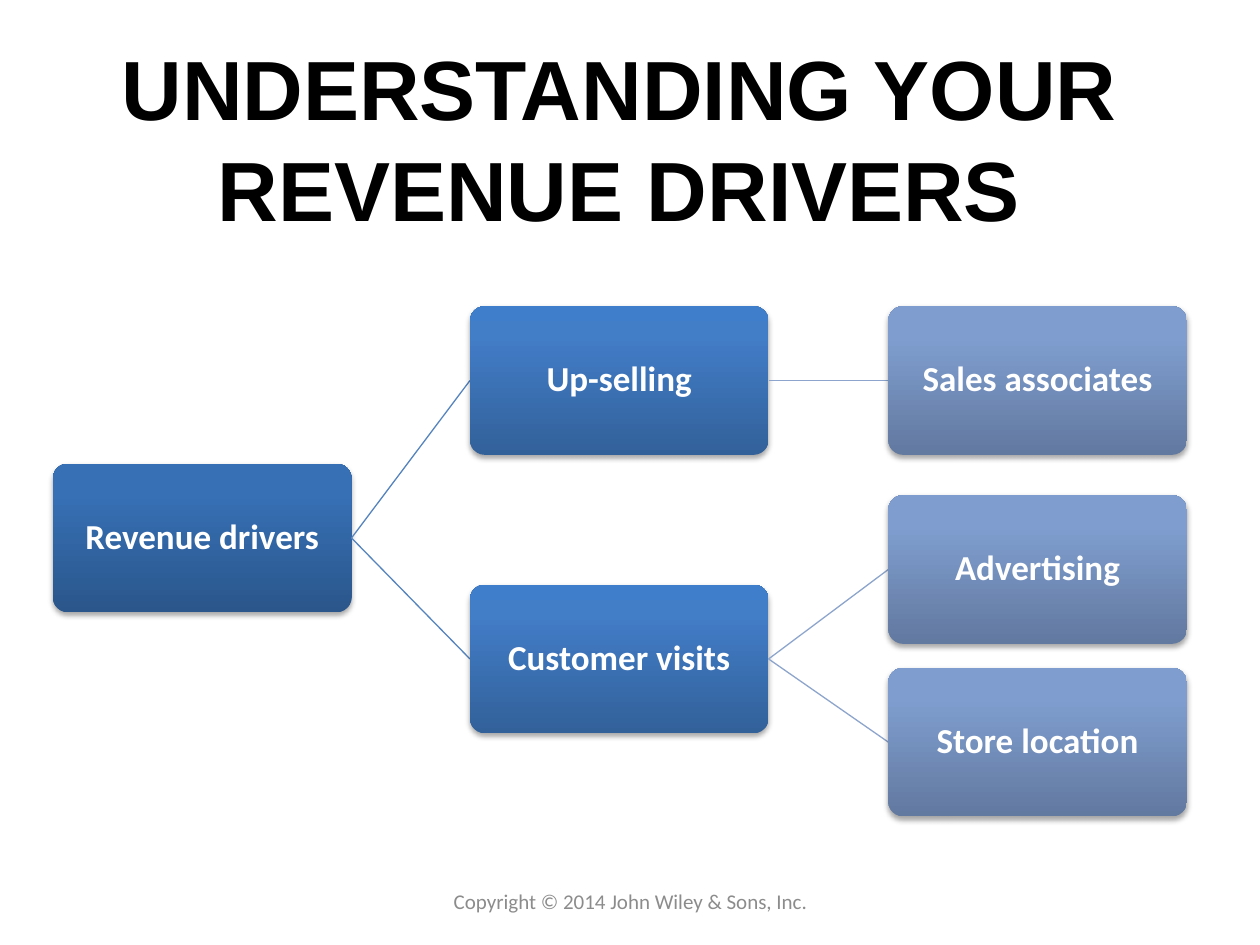
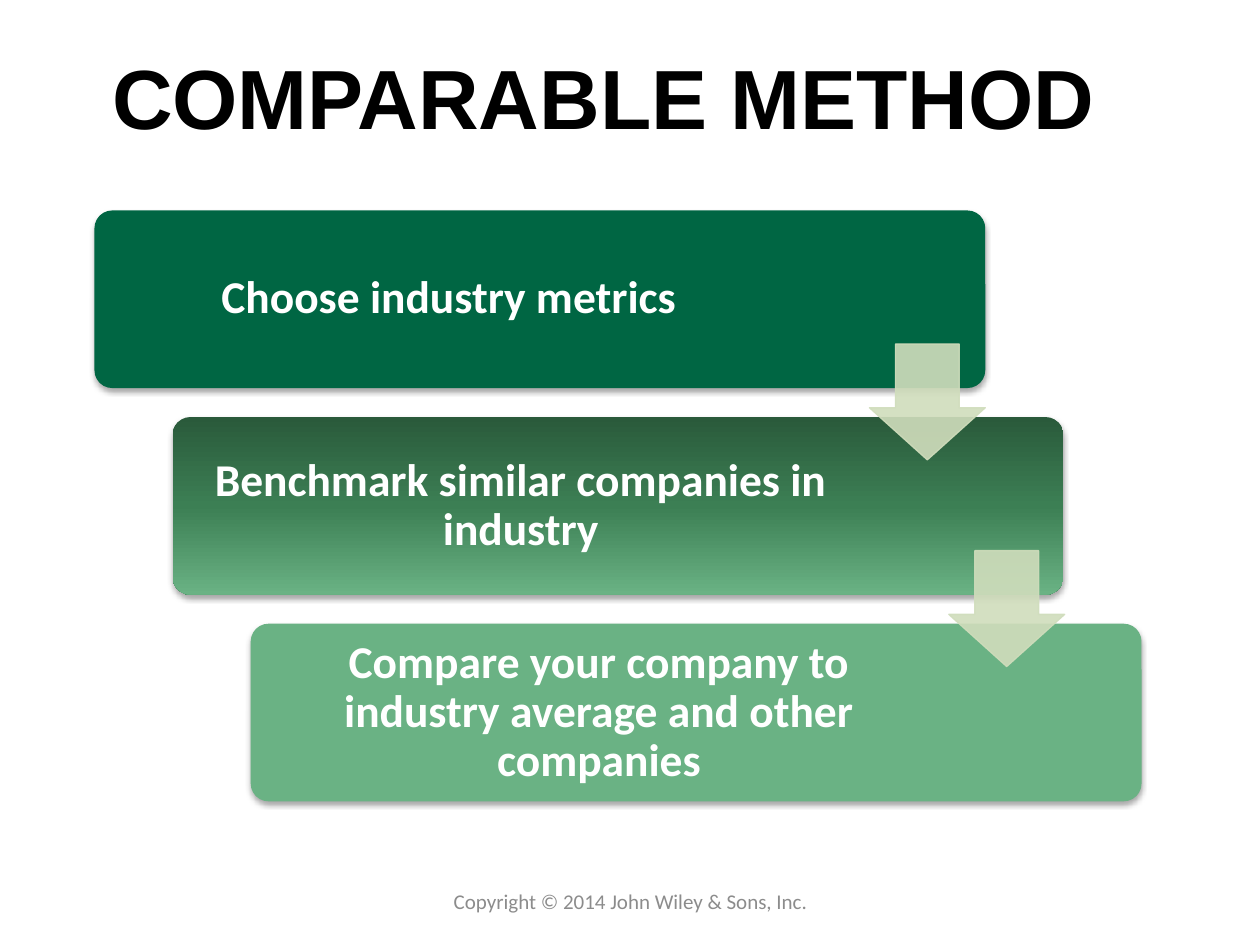
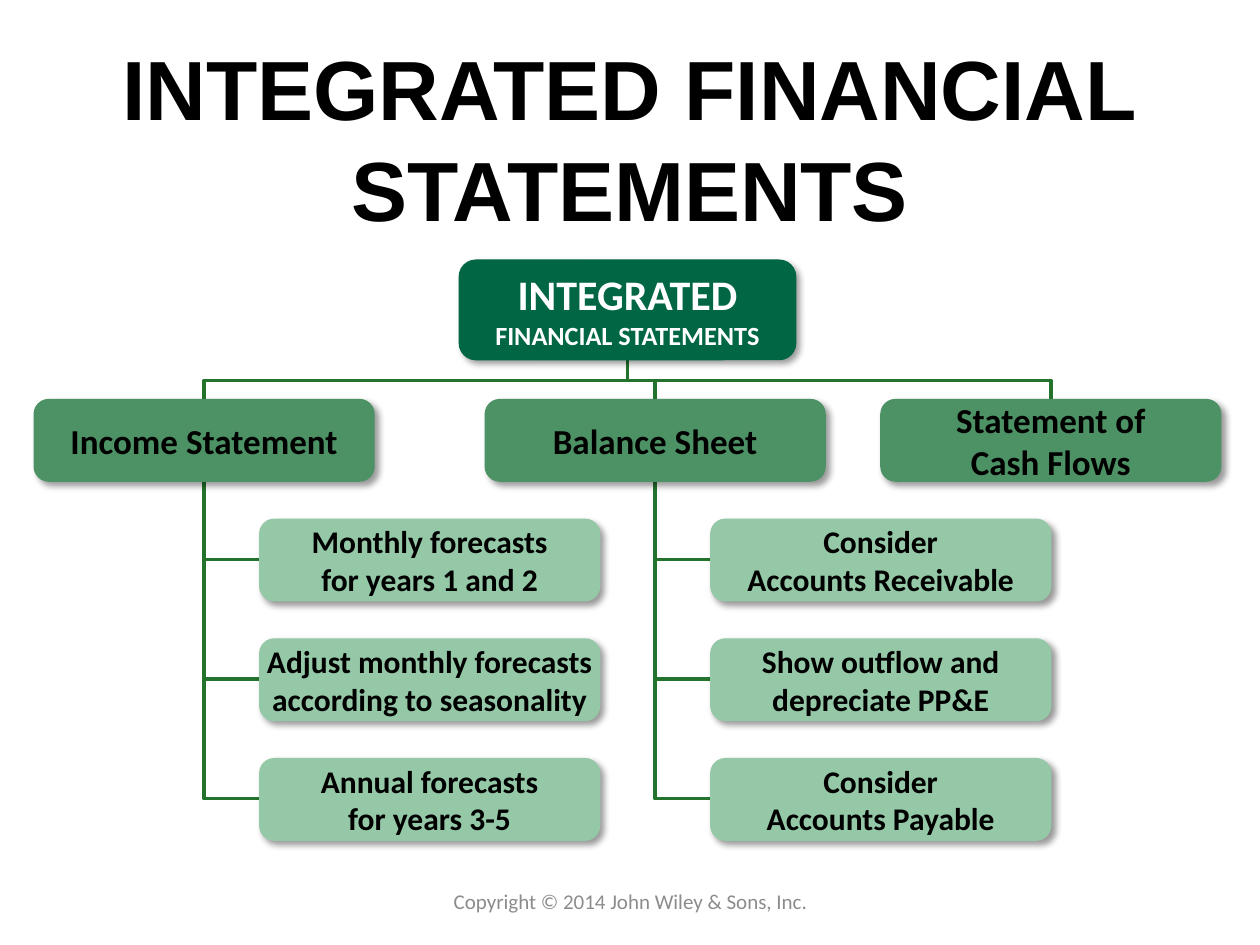
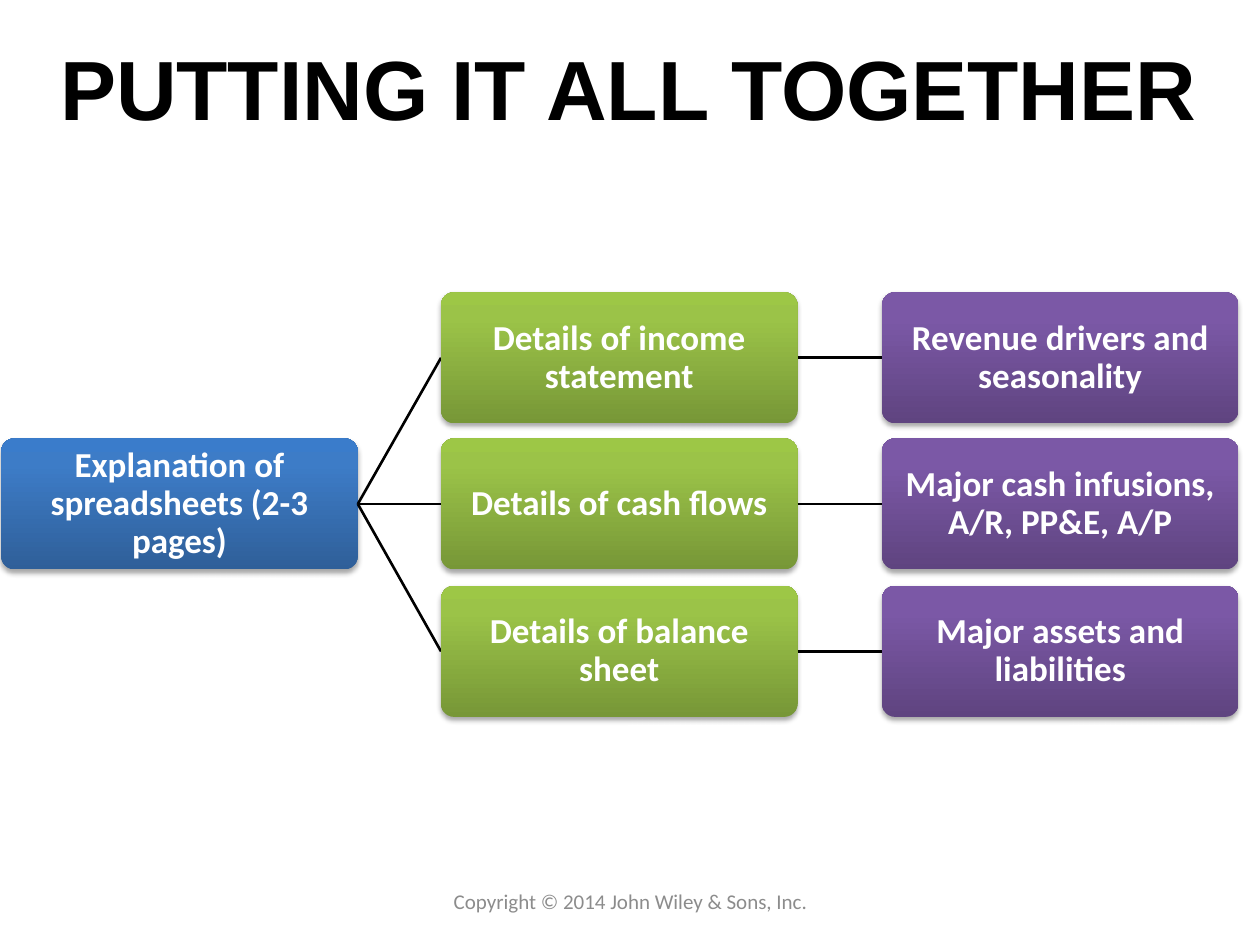
"""Build four slides on revenue drivers, comparables and financial statements."""
from copy import deepcopy

from lxml import etree
from pptx import Presentation
from pptx.dml.color import RGBColor
from pptx.enum.shapes import MSO_CONNECTOR, MSO_SHAPE
from pptx.enum.text import MSO_ANCHOR, MSO_AUTO_SIZE, PP_ALIGN
from pptx.oxml.ns import qn
from pptx.util import Pt

PX = 9144
STRAIGHT, ELBOW = MSO_CONNECTOR.STRAIGHT, MSO_CONNECTOR.ELBOW
ROUNDED, DOWN_ARROW = MSO_SHAPE.ROUNDED_RECTANGLE, MSO_SHAPE.DOWN_ARROW
TOP, MIDDLE, CENTER = MSO_ANCHOR.TOP, MSO_ANCHOR.MIDDLE, PP_ALIGN.CENTER
GROW = MSO_AUTO_SIZE.SHAPE_TO_FIT_TEXT

SOFT_SHADOW = {"blur": 3.1, "distance": 1.8, "angle": 90, "alpha": 35}
SLANTED_SHADOW = {"blur": 4, "distance": 3, "angle": 45, "alpha": 40}
CARD = {"shadow": SOFT_SHADOW, "radius": 0.1, "sizes": (20,), "color": "FFFFFF",
        "insets": (4, 4, 4, 4), "wrap": True, "spacing": 0.9, "angle": 90}
STEP = {**CARD, "sizes": (26,), "angle": 270}
CHART_BOX = {"shadow": SLANTED_SHADOW, "radius": 0.17, "sizes": (20,), "color": "000000",
             "insets": (0, 0, 0, 0), "wrap": False, "spacing": 1.0}
THEME = {
    "title": {"name": "Arial", "size": Pt(48), "bold": True},
    "title_color": "000000",
    "footer": {"name": "Calibri", "size": Pt(12), "bold": False},
    "footer_color": "8C8C8C",
    "body_font": "Calibri",
    "navy": {**CARD, "fill": ((0, "2A568B"), (80, "3770B5"), (100, "3570B8"))},
    "blue": {**CARD, "fill": ((0, "32619A"), (80, "427DC7"), (100, "3F7ECB"))},
    "pale": {**CARD, "fill": ((0, "6279A0"), (80, "7F9ECF"), (100, "7E9ED2"))},
    "bright": {**CARD, "fill": ((0, "2F5F99"), (80, "3D7CC7"), (100, "3A7CCB"))},
    "lime": {**CARD, "fill": ((0, "779737"), (80, "9BC348"), (100, "9DC746"))},
    "purple": {**CARD, "fill": ((0, "5F4480"), (80, "7B58A6"), (100, "7C57A8"))},
    "first_step": {**STEP, "fill": "006643", "insets": (15, 15, 159, 15)},
    "middle_step": {**STEP, "fill": ((0, "2A5A3B"), (50, "3C7F54"), (100, "6AB284")),
                    "insets": (15, 15, 169, 15)},
    "last_step": {**STEP, "fill": "6AB284", "insets": (15, 15, 169, 15)},
    "root": {**CHART_BOX, "fill": "006643", "sizes": (24, 15), "color": "FFFFFF"},
    "branch": {**CHART_BOX, "fill": "4C9265", "line": "4C9265"},
    "leaf": {**CHART_BOX, "fill": "94C8A7", "line": "94C8A7", "sizes": (18,)},
    "step_arrow": "D0DDBC",
    "blue_link": "5483BE",
    "pale_link": "8DA5CC",
    "black_link": "000000",
    "green_link": "23732D",
}


def add_box(slide, style, place, text):
    """Add a rounded, shadowed box with centred bold text."""
    shape = slide.shapes.add_shape(ROUNDED, *(value * PX for value in place))
    shape.adjustments[0] = style["radius"]
    properties = shape.element.spPr
    if isinstance(style["fill"], str):
        shape.fill.solid()
        shape.fill.fore_color.rgb = RGBColor.from_string(style["fill"])
    else:
        shape.fill.gradient()
        shape.fill.gradient_angle = style["angle"]
        stop_list = next(properties.iter(qn("a:gsLst")))
        stop_list.append(deepcopy(stop_list[-1]))
        for stop, (position, color) in zip(shape.fill.gradient_stops, style["fill"]):
            stop.position = position / 100
            stop.color.rgb = RGBColor.from_string(color)
    if "line" in style:
        shape.line.color.rgb = RGBColor.from_string(style["line"])
        shape.line.width = Pt(2)
    else:
        shape.line.fill.background()

    shape.shadow.inherit = False
    look = style["shadow"]
    shadow = etree.SubElement(
        properties.find(qn("a:effectLst")), qn("a:outerShdw"),
        blurRad=str(Pt(look["blur"])), dist=str(Pt(look["distance"])),
        dir=str(look["angle"] * 60000), rotWithShape="0")
    shadow_color = etree.SubElement(shadow, qn("a:srgbClr"), val="000000")
    etree.SubElement(shadow_color, qn("a:alpha"), val=str(look["alpha"] * 1000))

    frame = shape.text_frame
    frame.text = text
    frame.word_wrap = style["wrap"]
    frame.vertical_anchor = MIDDLE
    for side, inset in zip(("left", "top", "right", "bottom"), style["insets"]):
        setattr(frame, f"margin_{side}", inset * PX)
    for index, paragraph in enumerate(frame.paragraphs):
        paragraph.alignment = CENTER
        paragraph.line_spacing = style["spacing"]
        size = style["sizes"][index % len(style["sizes"])]
        font_values = {"name": THEME["body_font"], "size": Pt(size), "bold": True}
        for name, value in font_values.items():
            setattr(paragraph.font, name, value)
        paragraph.font.color.rgb = RGBColor.from_string(style["color"])


def add_link(slide, kind, begin, end, color, weight):
    """Add a connector without shadow and return it."""
    link = slide.shapes.add_connector(kind, *(value * PX for value in (*begin, *end)))
    link.line.color.rgb = RGBColor.from_string(color)
    link.line.width = Pt(weight)
    etree.SubElement(link._element.spPr, qn("a:effectLst"))
    return link


presentation = Presentation()
presentation.slide_width = 1000 * PX
presentation.slide_height = 750 * PX

titles = [
    ("UNDERSTANDING YOUR\nREVENUE DRIVERS", (33, 24, 917, 172), True),
    ("COMPARABLE METHOD", (75, 31, 808, 91), False),
    ("INTEGRATED FINANCIAL\nSTATEMENTS", (33, 24, 934, 172), True),
    ("PUTTING IT ALL TOGETHER", (33, 24, 932, 91), False),
]
slides = []
for title_text, title_place, title_wrap in titles:
    slide = presentation.slides.add_slide(presentation.slide_layouts[5])
    slides.append(slide)
    title = slide.shapes.title
    footer = slide.shapes.add_textbox(342 * PX, 695 * PX, 317 * PX, 40 * PX)
    for name, value in zip(("left", "top", "width", "height"), title_place):
        setattr(title, name, value * PX)
    labels = (
        (title, title_text, "title", {"word_wrap": title_wrap, "vertical_anchor": TOP,
                                      "auto_size": GROW}),
        (footer, "Copyright © 2014 John Wiley & Sons, Inc.", "footer",
         {"word_wrap": True, "vertical_anchor": MIDDLE}),
    )
    for shape, text, role, frame_values in labels:
        shape.text_frame.text = text
        for name, value in frame_values.items():
            setattr(shape.text_frame, name, value)
        for paragraph in shape.text_frame.paragraphs:
            paragraph.alignment = CENTER
            for name, value in THEME[role].items():
                setattr(paragraph.font, name, value)
            paragraph.font.color.rgb = RGBColor.from_string(THEME[f"{role}_color"])

drivers_slide, comparable_slide, statements_slide, summary_slide = slides

trees = [
    {
        "slide": drivers_slide, "size": (237, 118), "lefts": (42, 373, 705),
        "styles": ("navy", "blue", "pale"), "links": ("blue_link", "pale_link"), "weight": 0.75,
        "nodes": [
            (0, 368, "Revenue drivers", None),
            (1, 243, "Up-selling", 0),
            (1, 464, "Customer visits", 0),
            (2, 243, "Sales associates", 1),
            (2, 393, "Advertising", 2),
            (2, 530, "Store location", 2),
        ],
    },
    {
        "slide": summary_slide, "size": (283, 104), "lefts": (1, 350, 700),
        "styles": ("bright", "lime", "purple"), "links": ("black_link", "black_link"),
        "weight": 1.5,
        "nodes": [
            (0, 348, "Explanation of spreadsheets (2-3 pages)", None),
            (1, 232, "Details of income statement", 0),
            (1, 348, "Details of cash flows", 0),
            (1, 465, "Details of balance sheet", 0),
            (2, 232, "Revenue drivers and seasonality", 1),
            (2, 348, "Major cash infusions, A/R, PP&E, A/P", 2),
            (2, 465, "Major assets and liabilities", 3),
        ],
    },
]
for tree in trees:
    width, height = tree["size"]
    for level, top, text, parent in tree["nodes"]:
        left = tree["lefts"][level]
        if parent is not None:
            parent_level, parent_top = tree["nodes"][parent][:2]
            begin = (tree["lefts"][parent_level] + width, parent_top + height // 2)
            color = THEME[tree["links"][parent_level]]
            add_link(tree["slide"], STRAIGHT, begin, (left, top + height // 2),
                     color, tree["weight"])
        add_box(tree["slide"], THEME[tree["styles"][level]], (left, top, width, height), text)

steps = [
    ("first_step", "Choose industry metrics"),
    ("middle_step", "Benchmark similar companies in industry"),
    ("last_step", "Compare your company to industry average and other companies"),
]
for index, (style_name, text) in enumerate(steps):
    place = (75 + 62 * index, 167 + 164 * index, 707, 141)
    add_box(comparable_slide, THEME[style_name], place, text)
for index in range(len(steps) - 1):
    arrow_place = (690 + 63 * index, 273 + 164 * index, 92, 92)
    arrow = comparable_slide.shapes.add_shape(DOWN_ARROW, *(value * PX for value in arrow_place))
    arrow.adjustments[0], arrow.adjustments[1] = 0.55, 0.45
    arrow.shadow.inherit = False
    arrow.fill.solid()
    arrow.line.width = Pt(0.75)
    for color_format in (arrow.fill.fore_color, arrow.line.color):
        color_format.rgb = RGBColor.from_string(THEME["step_arrow"])
    for color_element in arrow.element.spPr.iter(qn("a:srgbClr")):
        etree.SubElement(color_element, qn("a:alpha"), val="90000")

branches = [
    (28, "Income Statement", [
        "Monthly forecasts\nfor years 1 and 2",
        "Adjust monthly forecasts\naccording to seasonality",
        "Annual forecasts\nfor years 3-5"]),
    (386, "Balance Sheet", [
        "Consider\nAccounts Receivable",
        "Show outflow and\ndepreciate PP&E",
        "Consider\nAccounts Payable"]),
    (700, "Statement of\nCash Flows", []),
]
box_width, box_height = 268, 63
root_center, root_bottom, branch_top = 498, 286, 318
green = THEME["green_link"]
for left, text, leaves in branches:
    center = left + box_width // 2
    middle_x, middle_y = (center + root_center) // 2, (root_bottom + branch_top) // 2
    half_rise, half_span = (branch_top - root_bottom) // 2, (center - root_center) // 2
    link = add_link(statements_slide, ELBOW, (middle_x - half_rise, middle_y + half_span),
                    (middle_x + half_rise, middle_y - half_span), green, 2)
    link._element.spPr.find(qn("a:xfrm")).set("rot", str(270 * 60000))
    for index, leaf_text in enumerate(leaves):
        leaf_left, leaf_top = center + 45, 413 + 95 * index
        link = add_link(statements_slide, ELBOW, (leaf_left, leaf_top + box_height // 2),
                        (center, branch_top + box_height), green, 2)
        link._element.spPr.find(qn("a:prstGeom")).set("prst", "bentConnector2")
        add_box(statements_slide, THEME["leaf"], (leaf_left, leaf_top, box_width, box_height),
                leaf_text)
    add_box(statements_slide, THEME["branch"], (left, branch_top, box_width, box_height), text)
add_box(statements_slide, THEME["root"], (364, 206, box_width, 80),
        "INTEGRATED\nFINANCIAL STATEMENTS")

presentation.save("out.pptx")
